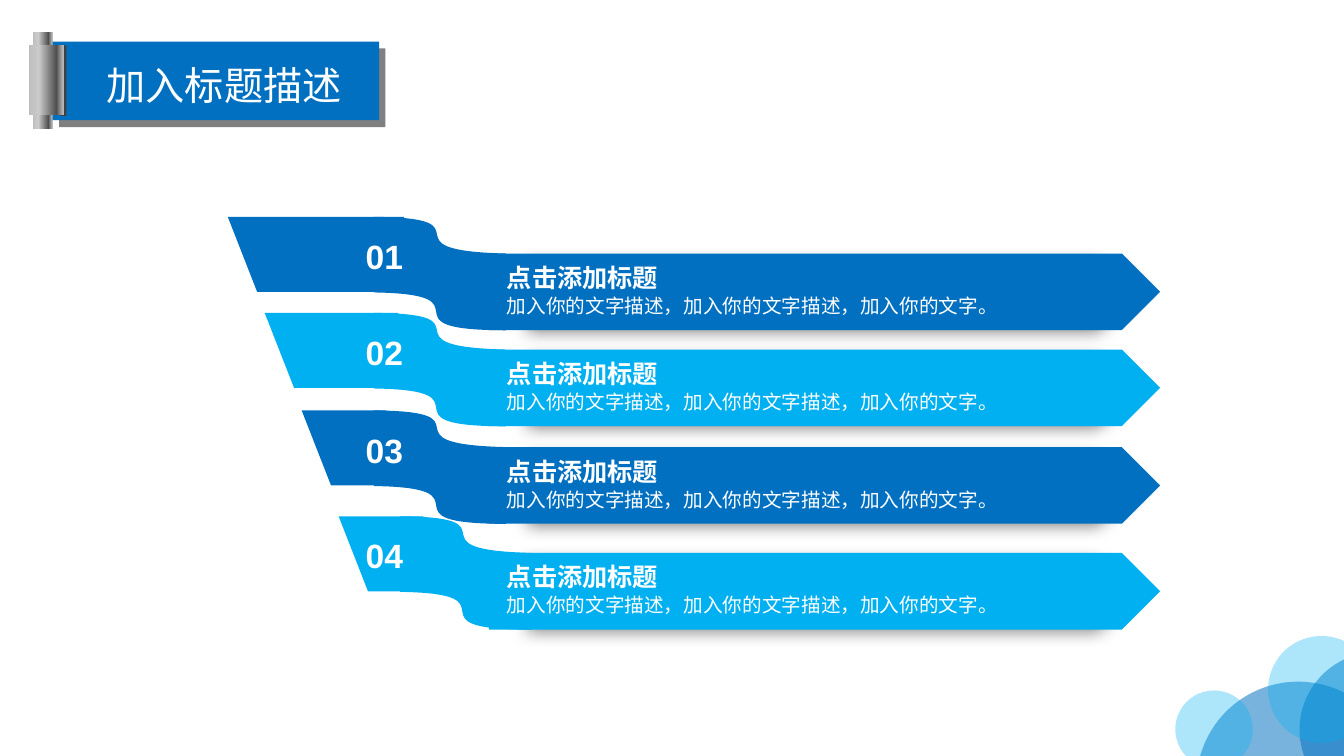
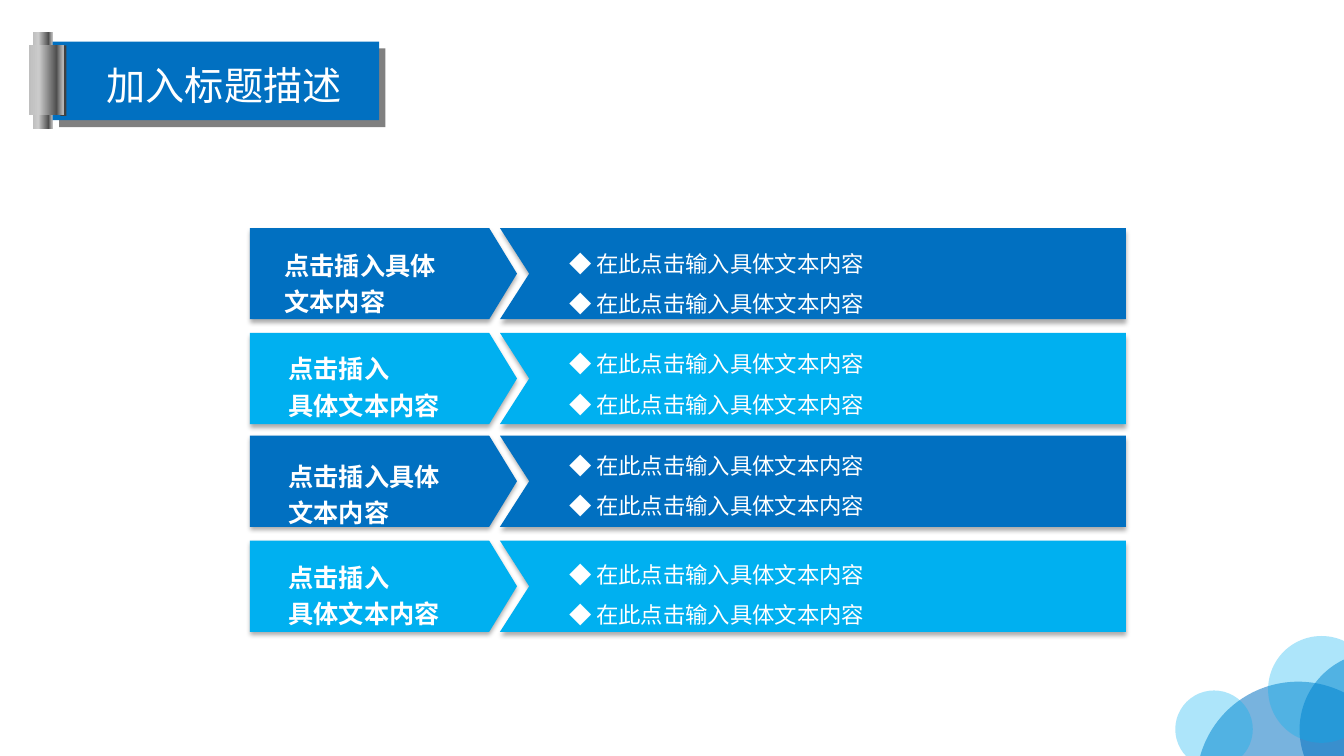
"""Build two slides of folded ribbons and chevron rows under one shared title banner."""
from typing import NamedTuple, Optional

from lxml import etree
from pptx import Presentation
from pptx.dml.color import RGBColor
from pptx.enum.shapes import MSO_SHAPE
from pptx.enum.text import MSO_AUTO_SIZE, PP_ALIGN
from pptx.oxml.ns import qn
from pptx.util import Pt

RECT, ELLIPSE, PLATE = MSO_SHAPE.RECTANGLE, MSO_SHAPE.OVAL, MSO_SHAPE.PENTAGON
LEFT, CENTER = PP_ALIGN.LEFT, PP_ALIGN.CENTER
GROW = MSO_AUTO_SIZE.SHAPE_TO_FIT_TEXT
FIXED = MSO_AUTO_SIZE.NONE

BLUE, SKY, WHITE = "0170C1", "00B0F0", "FFFFFF"
GREY, CHARCOAL = "808080", "404040"
METAL = ((0, "BFBFBF"), (29, "CACACA"), (80, "4F4F4F"), (100, "BFBFBF"))
SANS = "Noto Sans CJK SC"

TITLE_FONT = {"name": SANS, "size": Pt(28), "bold": False}
NUMBER_FONT = {"name": "Arial", "size": Pt(24), "bold": True}
HEADING_FONT = {"name": SANS, "size": Pt(18), "bold": True}
CAPTION_FONT = {"name": SANS, "size": Pt(14), "bold": False}
POINT_FONT = {"name": SANS, "size": Pt(16), "bold": False}

Point = tuple[float, float]


class Box(NamedTuple):
    """Left, top, width and height in points."""
    left: float
    top: float
    width: float
    height: float


class Shadow(NamedTuple):
    """Outer shadow in percent, points and degrees."""
    alpha: int
    blur: float
    distance: float
    angle: int
    scale: int = 100


class Circle(NamedTuple):
    """Translucent corner circle."""
    left: float
    top: float
    size: float
    color: str
    alpha: int


class Ribbon(NamedTuple):
    """Numbered ribbon with a slanted tail and a fold."""
    number: str
    top: float
    tail_right: float
    fold_left: float
    color: str


class Row(NamedTuple):
    """Chevron row with a two-line heading."""
    top: float
    heading_left: float
    heading_top: float
    points_top: float
    heading: tuple[str, str]
    color: str


RIBBON_SHADOW = Shadow(50, 12, 5, 45, 90)
ROW_SHADOW = Shadow(32, 3.5, 2.2, 90)

CIRCLES = (
    Circle(854.6, 486.9, 145.4, BLUE, 53),
    Circle(928.3, 465.8, 110.9, BLUE, 53),
    Circle(905.8, 454.3, 76.3, SKY, 32),
    Circle(839.5, 493.2, 55.4, SKY, 32),
)
RIBBONS = (
    Ribbon("01", 154.9, 288.7, 267.1, BLUE),
    Ribbon("02", 223.5, 284.4, 267.1, SKY),
    Ribbon("03", 293.2, 275.8, 267.1, BLUE),
    Ribbon("04", 368.8, 302.4, 285.8, SKY),
)
WIDE_HEADING = ("点击插入具体", "文本内容")
SHORT_HEADING = ("点击插入", "具体文本内容")
ROWS = (
    Row(162.9, 196.2, 170.8, 165.6, WIDE_HEADING, BLUE),
    Row(237.8, 199, 244.8, 237.3, SHORT_HEADING, SKY),
    Row(311.2, 199, 321.5, 309.6, WIDE_HEADING, BLUE),
    Row(386.2, 199, 393.8, 387.4, SHORT_HEADING, SKY),
)
TAIL_LEFT, TAIL_STEP, TAIL_SLANT = 162.7, 26.4, 21
FOLD_WIDTH, FOLD_DROP, RIBBON_HEIGHT = 94.3, 26.2, 54
ROW_HEIGHT = 65.1


def rgb(color: str) -> RGBColor:
    """Turn a hex string into a colour."""
    return RGBColor.from_string(color)


def add_color(parent, color: str, alpha: int = 100) -> None:
    """Append a colour element with an opacity in percent."""
    node = etree.SubElement(parent, qn("a:srgbClr"), val=color)
    if alpha < 100:
        etree.SubElement(node, qn("a:alpha"), val=str(alpha * 1000))


def paint(shape, color: str, alpha: int = 100, shadow: Optional[Shadow] = None) -> None:
    """Give a shape a plain fill, no outline and an optional shadow."""
    shape.fill.solid()
    shape.fill.fore_color.rgb = rgb(color)
    shape.line.fill.background()
    shape.shadow.inherit = False
    properties = shape._element.spPr
    if alpha < 100:
        fill_color = properties.find(qn("a:solidFill")).find(qn("a:srgbClr"))
        etree.SubElement(fill_color, qn("a:alpha"), val=str(alpha * 1000))
    if shadow:
        scale = str(shadow.scale * 1000)
        outer = etree.SubElement(
            properties.find(qn("a:effectLst")), qn("a:outerShdw"),
            blurRad=str(Pt(shadow.blur)), dist=str(Pt(shadow.distance)),
            dir=str(shadow.angle * 60000), sx=scale, sy=scale,
            algn="ctr", rotWithShape="0")
        add_color(outer, "000000", shadow.alpha)


def add_preset(slide, kind, box: Box, color: str, alpha: int = 100,
               shadow: Optional[Shadow] = None):
    """Draw a preset shape."""
    shape = slide.shapes.add_shape(kind, *map(Pt, box))
    paint(shape, color, alpha, shadow)
    return shape


def add_outline(slide, points: list[Point], color: str,
                shadow: Optional[Shadow] = None):
    """Draw a closed outline through the points."""
    vertices = [(Pt(x), Pt(y)) for x, y in points]
    builder = slide.shapes.build_freeform(*vertices[0])
    builder.add_line_segments(vertices[1:], close=True)
    shape = builder.convert_to_shape()
    paint(shape, color, shadow=shadow)
    return shape


def bend(shape, starts: tuple[int, ...]) -> None:
    """Merge three line segments from each start into one cubic curve."""
    segments = list(shape._element.spPr.iter(qn("a:lnTo")))
    for start in starts:
        curve = etree.Element(qn("a:cubicBezTo"))
        segments[start].addprevious(curve)
        for segment in segments[start:start + 3]:
            curve.append(segment.find(qn("a:pt")))
            segment.getparent().remove(segment)


def add_metal_bar(slide, box: Box) -> None:
    """Draw a bar turned upright with a metallic gradient."""
    bar = add_preset(slide, RECT, box, GREY)
    bar.rotation = 270
    bar.fill.gradient()
    bar.fill.gradient_angle = 270
    stops = bar._element.spPr.find(qn("a:gradFill")).find(qn("a:gsLst"))
    for stop in list(stops):
        stops.remove(stop)
    for position, color in METAL:
        add_color(etree.SubElement(stops, qn("a:gs"), pos=str(position * 1000)), color)


def add_text(slide, box: Box, lines: tuple[str, ...], font: dict, align=LEFT,
             spacing: float = 1.0, inset: Point = (7.2, 3.6), fit=GROW) -> None:
    """Write white lines of text in a wrapping box."""
    frame = slide.shapes.add_textbox(*map(Pt, box)).text_frame
    side, edge = map(Pt, inset)
    layout = {"word_wrap": True, "auto_size": fit, "margin_left": side,
              "margin_right": side, "margin_top": edge, "margin_bottom": edge}
    for key, value in layout.items():
        setattr(frame, key, value)
    for index, line in enumerate(lines):
        paragraph = frame.add_paragraph() if index else frame.paragraphs[0]
        paragraph.alignment = align
        paragraph.line_spacing = spacing
        run = paragraph.add_run()
        run.text = line
        run.font.color.rgb = rgb(WHITE)
        for key, value in font.items():
            setattr(run.font, key, value)
        etree.SubElement(run._r.get_or_add_rPr(), qn("a:ea"), typeface=font["name"])


def add_base(deck, title: str):
    """Add a blank slide with corner circles and the title banner."""
    slide = deck.slides.add_slide(deck.slide_layouts[6])
    for circle in CIRCLES:
        box = Box(circle.left, circle.top, circle.size, circle.size)
        add_preset(slide, ELLIPSE, box, circle.color, circle.alpha)
    add_metal_bar(slide, Box(-3.9, 50.4, 68.8, 14))
    add_preset(slide, RECT, Box(42.2, 34.6, 233.1, 56.2), GREY)
    add_preset(slide, RECT, Box(37.6, 29.7, 233.3, 56.2), BLUE)
    add_preset(slide, RECT, Box(43.2, 32.4, 4.3, 50.4), CHARCOAL)
    add_metal_bar(slide, Box(8, 44.9, 50.2, 24.4))
    add_text(slide, Box(41.3, 41, 237.6, 39.6), (title,), TITLE_FONT, CENTER, inset=(5, 2.9))
    return slide


def add_ribbon(slide, ribbon: Ribbon, index: int) -> None:
    """Draw one ribbon with its number, heading and caption."""
    top, bottom = ribbon.top, ribbon.top + RIBBON_HEIGHT
    plate_top, color = top + FOLD_DROP, ribbon.color
    tail_left = TAIL_LEFT + index * TAIL_STEP
    tail = [(tail_left, top), (ribbon.tail_right, top),
            (ribbon.tail_right, bottom - 0.4), (tail_left + TAIL_SLANT, bottom - 0.4)]
    left, right = ribbon.fold_left, ribbon.fold_left + FOLD_WIDTH
    fold = [(left, top), (left, bottom),
            (left + 86.4, bottom + 1.4), (left + 0.7, bottom + 27), (right, bottom + 27),
            (right, plate_top),
            (left + 2.2, plate_top - 2.2), (left + 86.4, top + 0.7), (left, top)]
    add_outline(slide, tail, color)
    bend(add_outline(slide, fold, color), (1, 5))
    add_preset(slide, PLATE, Box(349.2, plate_top, 479.5, 54.7), color, shadow=RIBBON_SHADOW)
    add_text(slide, Box(247.2, top + 10, 54.7, 36), (ribbon.number,), NUMBER_FONT, CENTER)
    add_text(slide, Box(355, plate_top + 28.8, 368.6, 25.9),
             ("加入你的文字描述，加入你的文字描述，加入你的文字。",), CAPTION_FONT,
             inset=(7.2, 0), fit=FIXED)
    add_text(slide, Box(355, plate_top + 6.2, 186.5, 23), ("点击添加标题",), HEADING_FONT,
             inset=(7.2, 0), fit=FIXED)


def add_row(slide, row: Row) -> None:
    """Draw one notched panel with its chevron heading."""
    bottom = row.top + ROW_HEIGHT
    panel = [(357.1, row.top), (804.2, row.top), (804.2, bottom),
             (357.1, bottom), (378, row.top + ROW_HEIGHT / 2)]
    add_outline(slide, panel, row.color, ROW_SHADOW)
    add_text(slide, Box(399.4, row.points_top, 321.1, 65.5),
             ("◆ 在此点击输入具体文本内容",) * 2, POINT_FONT, spacing=1.5)
    chevron = add_preset(slide, PLATE, Box(178.5, row.top, 190.8, ROW_HEIGHT),
                         row.color, shadow=ROW_SHADOW)
    chevron.adjustments[0] = 0.305
    add_text(slide, Box(row.heading_left, row.heading_top, 161.3, 59.8),
             row.heading, HEADING_FONT, spacing=1.2)


def main() -> None:
    """Build and save the deck."""
    deck = Presentation()
    deck.slide_width, deck.slide_height = Pt(960), Pt(540)
    title = "加入标题描述"
    ribbon_slide = add_base(deck, title)
    for index, ribbon in enumerate(RIBBONS):
        add_ribbon(ribbon_slide, ribbon, index)
    row_slide = add_base(deck, title)
    for row in ROWS:
        add_row(row_slide, row)
    deck.save("out.pptx")


if __name__ == "__main__":
    main()
